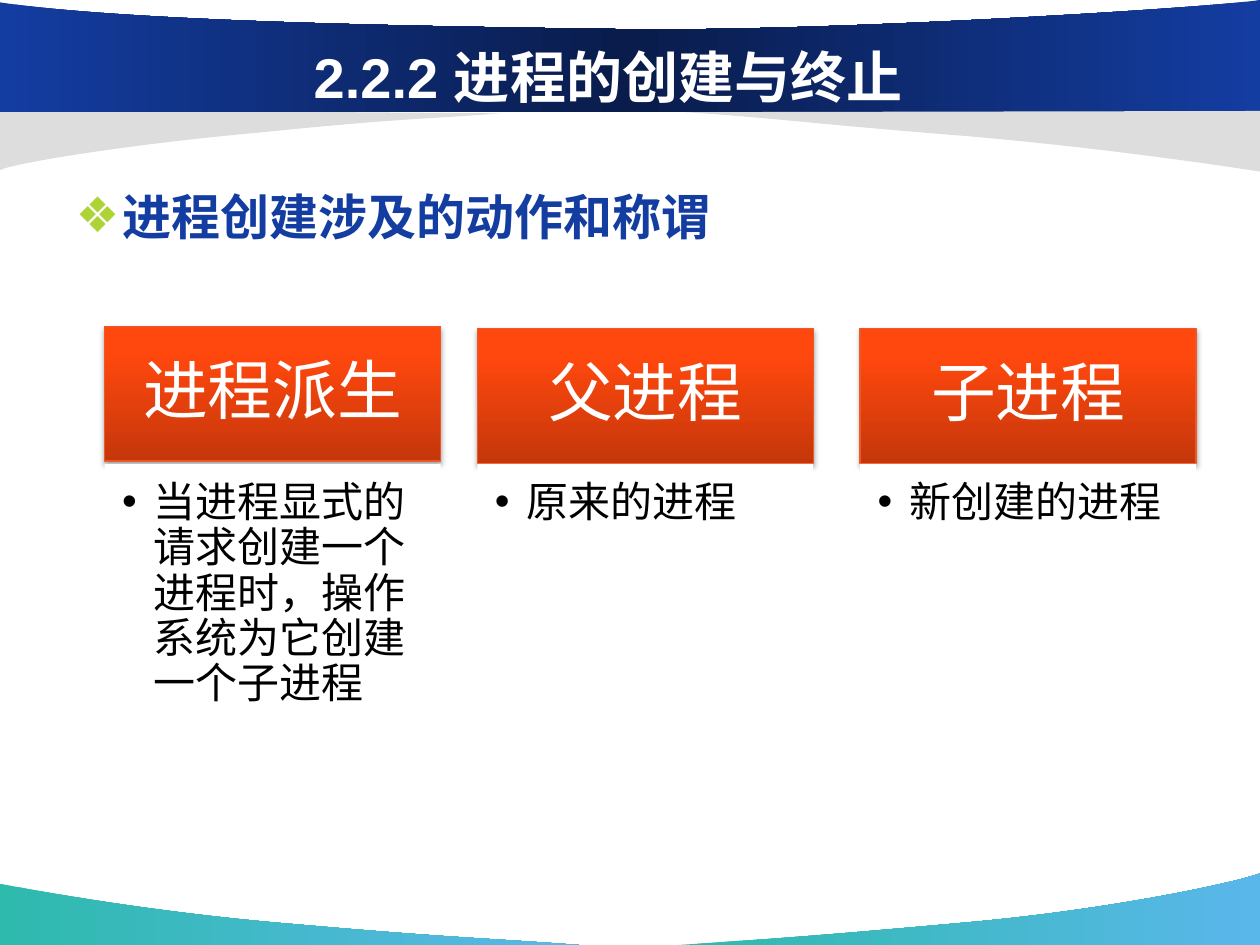
import pptx
import pptx.dml.color
import pptx.enum.shapes
import pptx.enum.text
import pptx.oxml.ns
import pptx.util
from lxml import etree

Pt = pptx.util.Pt
qn = pptx.oxml.ns.qn
RGB = pptx.dml.color.RGBColor
ALIGN = pptx.enum.text.PP_ALIGN
ANCHOR = pptx.enum.text.MSO_ANCHOR

WHITE = RGB(0xFF, 0xFF, 0xFF)
BLACK = RGB(0x00, 0x00, 0x00)
BLUE = RGB(0x14, 0x3D, 0xA2)
NAVY = RGB(0x09, 0x1C, 0x4B)
GREY = RGB(0xDD, 0xDD, 0xDD)
TEAL = RGB(0x2E, 0xBA, 0xAD)
SKY = RGB(0x5A, 0xB7, 0xEA)
LIME = RGB(0xAE, 0xD3, 0x37)
RUST = RGB(0xC5, 0x37, 0x0B)
ORANGE = RGB(0xFF, 0x48, 0x0E)
BRIGHT_ORANGE = RGB(0xFF, 0x49, 0x10)
EDGE = RGB(0xEB, 0x59, 0x2B)

CARDS = [
    (59.75, 186.5, "进程派生", "当进程显式的请求创建一个进程时，操作系统为它创建一个子进程"),
    (272.75, 187.75, "父进程", "原来的进程"),
    (491.5, 187.75, "子进程", "新创建的进程"),
]


def fill_gradient(sp, stops, angle):
    """Fill a shape with (percent, colour) stops at a counter-clockwise angle."""
    sp.fill.gradient()
    sp.fill.gradient_angle = angle
    stop_list = sp.element.spPr.find(qn("a:gradFill")).find(qn("a:gsLst"))
    for old in list(stop_list):
        stop_list.remove(old)
    for percent, colour in stops:
        stop = etree.SubElement(stop_list, qn("a:gs"), pos=str(percent * 1000))
        etree.SubElement(stop, qn("a:srgbClr"), val=str(colour))


def add_shadow(sp):
    """Give a shape a soft shadow that falls straight down."""
    effects = sp.element.spPr.find(qn("a:effectLst"))
    shadow = etree.SubElement(effects, qn("a:outerShdw"), blurRad=str(Pt(3.1)),
                              dist=str(Pt(1.8)), dir="5400000", rotWithShape="0")
    colour = etree.SubElement(shadow, qn("a:srgbClr"), val=str(BLACK))
    etree.SubElement(colour, qn("a:alpha"), val="35000")


def set_bullet(p, char, indent, colour):
    """Give a paragraph a coloured bullet with a hanging indent in points."""
    pPr = p._p.get_or_add_pPr()
    pPr.set("marL", str(Pt(indent)))
    pPr.set("indent", str(-Pt(indent)))
    clr = etree.SubElement(pPr, qn("a:buClr"))
    etree.SubElement(clr, qn("a:srgbClr"), val=str(colour))
    etree.SubElement(pPr, qn("a:buFont"), typeface="Arial")
    etree.SubElement(pPr, qn("a:buChar"), char=char)


def write_text(sp, text, size, colour, align, spacing, bold=False):
    """Write one formatted paragraph into a shape and return it."""
    tf = sp.text_frame
    tf.word_wrap = True
    tf.auto_size = pptx.enum.text.MSO_AUTO_SIZE.NONE
    tf.text = text
    p = tf.paragraphs[0]
    p.alignment = align
    p.line_spacing = spacing
    font = p.runs[0].font
    font.name, font.size, font.bold = "Arial", Pt(size), bold
    font.color.rgb = colour
    return p


def set_margins(sp, left, top, right, bottom):
    """Set the text margins of a shape in points."""
    tf = sp.text_frame
    tf.margin_left, tf.margin_top = Pt(left), Pt(top)
    tf.margin_right, tf.margin_bottom = Pt(right), Pt(bottom)


def place(sp, left, top, width, height):
    """Move and size a placeholder, and bring it to the front."""
    sp.left, sp.top, sp.width, sp.height = Pt(left), Pt(top), Pt(width), Pt(height)
    sp.element.getparent().append(sp.element)


def add_swoosh(s, left, top, start, *segments):
    """Draw an outline of lines (one point) and curves (three points) from a corner."""
    builder = s.shapes.build_freeform(Pt(left + start[0]), Pt(top + start[1]))
    builder.add_line_segments([(Pt(left + x), Pt(top + y))
                               for x, y in (segment[-1] for segment in segments)])
    sp = builder.convert_to_shape()
    lines = list(sp.element.iter(qn("a:lnTo")))
    for line, segment in zip(lines, segments):
        if len(segment) == 3:
            curve = etree.Element(qn("a:cubicBezTo"))
            for x, y in segment:
                etree.SubElement(curve, qn("a:pt"), x=str(Pt(left + x) - sp.left),
                                 y=str(Pt(top + y) - sp.top))
            line.getparent().replace(line, curve)
    sp.shadow.inherit = False
    sp.line.fill.background()
    return sp


def add_footer(s, left, top):
    """Draw the two coloured waves at the foot of the slide."""
    waves = [
        add_swoosh(s, left, top + 6, (331, 35),
                   [(276.5, 31), (258, 31), (167, 23)],
                   [(76, 15.5), (0.7, 0), (0, 0)], [(0, 35)], [(331, 35)]),
        add_swoosh(s, left + 388, top, (0, 41),
                   [(54, 37.5), (77, 36), (166, 28)],
                   [(254, 20), (325, 3.5), (332, 0)], [(332, 41)], [(0, 41)]),
    ]
    for wave in waves:
        fill_gradient(wave, [(0, TEAL), (100, SKY)], 0)


def add_header(s, left, top):
    """Draw the blue title band and the grey waves below it."""
    grey_left = add_swoosh(s, left, top + 62.6, (286.6, 2.2),
                           [(238.3, 5.8), (229, 5), (149.8, 13)],
                           [(69.8, 20.2), (6.5, 31), (0, 34.6)], [(0, 0)], [(286.6, 2.2)])
    band = add_swoosh(s, left, top, (0, 64), [(720, 64)], [(720, 0)],
                      [(694, 4.3), (470, 18.7), (350.6, 16.6)],
                      [(231, 15), (72.7, 12.2), (0, 1.4)], [(0, 64)])
    grey_right = add_swoosh(s, left + 391.7, top + 63.4, (0, 0.7),
                            [(54.7, 4.3), (70.6, 7.2), (161.3, 14.4)],
                            [(252, 22.3), (327.6, 34.6), (328.3, 34.6)],
                            [(328.3, 0)], [(0, 0.7)])
    fill_gradient(band, [(0, BLUE), (50, NAVY), (100, BLUE)], 0)
    for wave in (grey_left, grey_right):
        wave.fill.solid()
        wave.fill.fore_color.rgb = GREY


def add_box(s, left, top, width, height, anchor):
    """Add a plain rectangle without shadow."""
    sp = s.shapes.add_shape(pptx.enum.shapes.MSO_SHAPE.RECTANGLE,
                            Pt(left), Pt(top), Pt(width), Pt(height))
    sp.shadow.inherit = False
    sp.text_frame.vertical_anchor = anchor
    return sp


def add_card(s, left, top, width, heading, detail):
    """Draw an orange heading with its bulleted explanation below."""
    head = add_box(s, left, top, width, 77, ANCHOR.MIDDLE)
    fill_gradient(head, [(0, RUST), (80, ORANGE), (100, BRIGHT_ORANGE)], 90)
    head.line.color.rgb = EDGE
    head.line.width = Pt(0.75)
    add_shadow(head)
    set_margins(head, 20.5, 11.5, 20.5, 11.5)
    write_text(head, heading, 37, WHITE, ALIGN.CENTER, 0.9)

    body = add_box(s, left, 265, width, 156, ANCHOR.TOP)
    body.fill.solid()
    body.fill.fore_color.rgb = WHITE
    body.line.fill.background()
    set_margins(body, 10, 10, 13.5, 15)
    p = write_text(body, detail, 24, BLACK, ALIGN.LEFT, 0.9)
    set_bullet(p, "•", 18, BLACK)


def main():
    """Build the slide and save it."""
    prs = pptx.Presentation()
    prs.slide_width, prs.slide_height = Pt(720), Pt(540)
    s = prs.slides.add_slide(prs.slide_layouts[1])
    title, body = s.shapes.title, s.placeholders[1]
    add_footer(s, 0, 499)
    add_header(s, 0, 0)
    place(title, 65.5, 21, 564, 44.5)
    write_text(title, "2.2.2 进程的创建与终止", 32, WHITE, ALIGN.CENTER, 1, True)
    for left, top, heading, detail in CARDS:
        add_card(s, left, top, 192, heading, detail)
    place(body, 36, 96, 648, 44)
    p = write_text(body, "进程创建涉及的动作和称谓", 28, BLUE, ALIGN.LEFT, 1.2, True)
    set_bullet(p, "❖", 27, LIME)
    prs.save("out.pptx")


if __name__ == "__main__":
    main()
